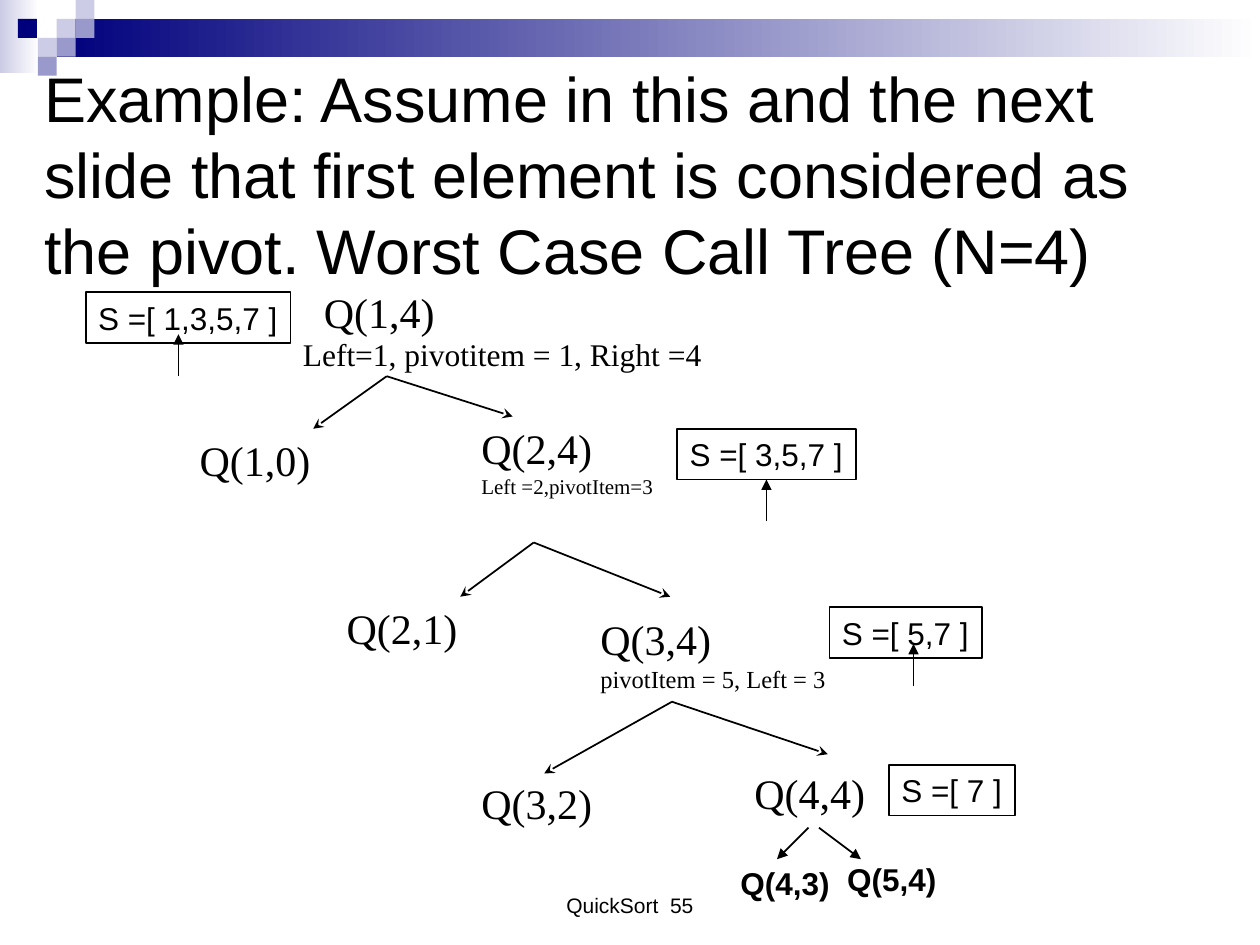
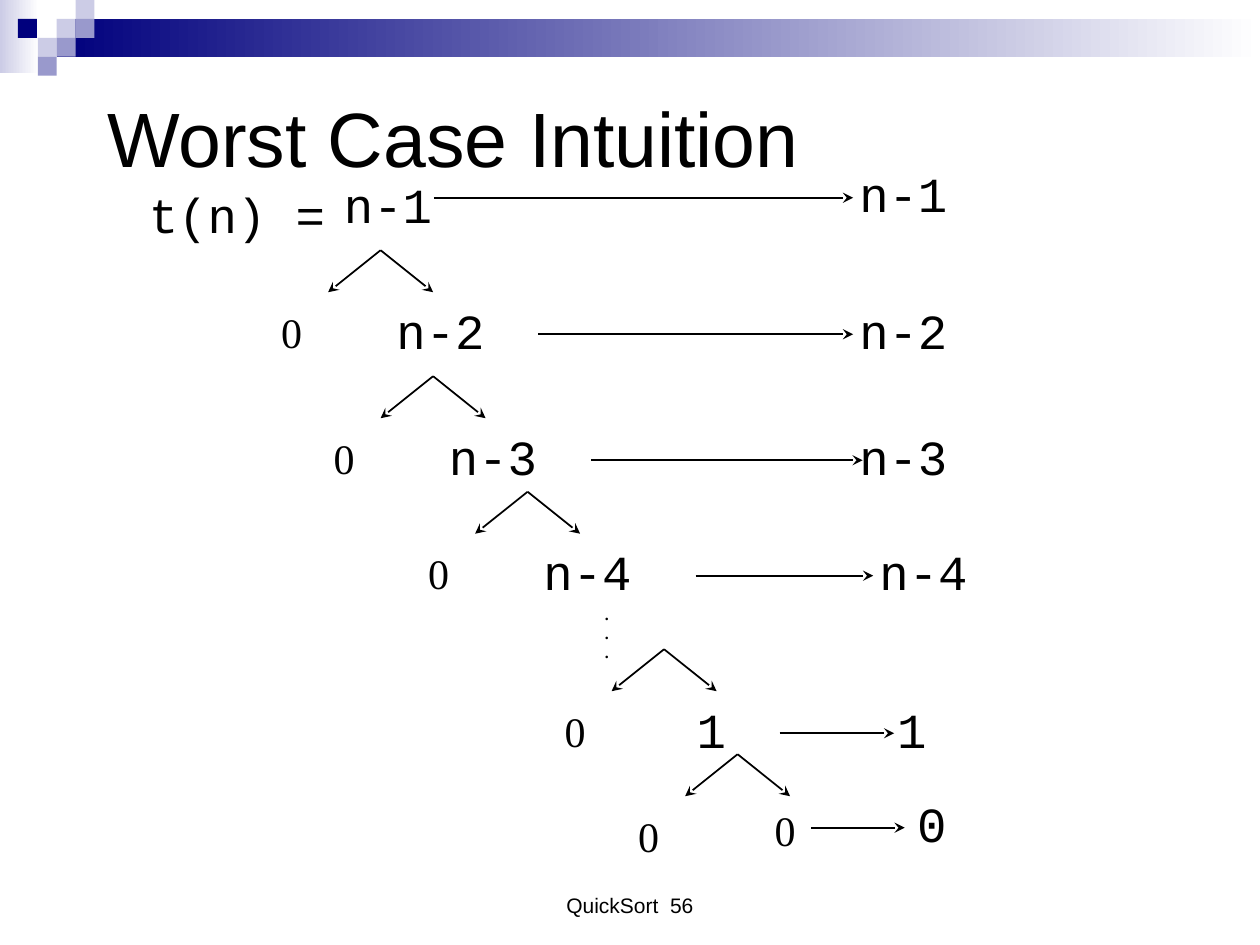
"""Build two quicksort slides: a worst-case call tree and the cost of each of its levels."""
from lxml.etree import SubElement
from pptx import Presentation
from pptx.dml.color import RGBColor
from pptx.enum.shapes import MSO_CONNECTOR, MSO_SHAPE
from pptx.enum.text import MSO_ANCHOR, MSO_AUTO_SIZE, PP_ALIGN
from pptx.oxml.ns import qn
from pptx.util import Pt

BLACK = RGBColor(0x00, 0x00, 0x00)
WHITE = RGBColor(0xFF, 0xFF, 0xFF)
NAVY = RGBColor(0x00, 0x00, 0x7D)
LILAC = RGBColor(0xCC, 0xCC, 0xE6)
VIOLET = RGBColor(0x99, 0x99, 0xCC)
SANS, SERIF, MONO = "Arial", "Times New Roman", "Courier New"

TILE = 10.8
BANDS = [(0, 0, 22.3, 41.8, LILAC), (32.4, 10.8, 687.6, 21.6, NAVY)]
TILES = [(3, 1, LILAC), (4, 0, LILAC), (4, 1, VIOLET), (2, 2, LILAC),
         (0.95, 1, NAVY), (3, 2, VIOLET), (2, 3, VIOLET)]

TREE_TITLE = ("Example: Assume in this and the next slide that first element "
              "is considered as the pivot. Worst Case Call Tree (N=4)")
# left, top, width, lines as (text, size)
CALLS = [
    (178, 160, 78, [("Q(1,4)", 24)]),
    (166, 188, 243, [("Left=1, pivotitem = 1, Right =4", 18)]),
    (107, 245, 78, [("Q(1,0)", 24)]),
    (268, 238, 113, [("Q(2,4)", 24), ("Left =2,pivotItem=3", 12)]),
    (191, 341, 78, [("Q(2,1)", 24)]),
    (336, 347, 162, [("Q(3,4)", 24), ("pivotItem = 5, Left = 3", 14)]),
    (268, 441, 78, [("Q(3,2)", 24)]),
    (424, 435, 78, [("Q(4,4)", 24)]),
]
LEAVES = [(416, 490, "Q(4,3)"), (477, 488, "Q(5,4)")]
FORKS = [
    ((221, 215), (179, 245), (293, 238)),
    ((305, 310), (263, 341), (383, 341)),
    ((384, 401), (311, 442), (473, 431)),
]
LEAF_ARROWS = [((462, 473), (444, 491)), ((468, 473), (492, 491))]
# left, top, width, text, pivot pointer tip
ARRAYS = [
    (49, 167, 117, "S =[ 1,3,5,7 ]", (102, 191)),
    (387, 245, 102, "S =[ 3,5,7 ]", (438, 274)),
    (474, 347, 87, "S =[ 5,7 ]", (522, 368)),
    (508, 437, 72, "S =[ 7 ]", None),
]
ARRAY_H, POINTER_H = 29, 24

COST_TITLE = "Worst Case Intuition"
# label, node left and top, fork apex x, cost arrow from and to, cost left and top
LEVELS = [
    ("n-1", 189.5, 96, None, 248, 487.5, 484, 90),
    ("n-2", 219.5, 168, 217.5, 307.5, 487.5, 484, 168),
    ("n-3", 249.5, 240, 247.5, 338, 493, 484, 240),
    ("n-4", 303.5, 306, 301.5, 397.5, 499, 495.5, 306),
    ("1", 391, 396, 379.5, 445.5, 511, 505.5, 396),
    ("0", 435.5, 456, 421.5, 463.5, 517, 517, 450),
]


def write(sp, lines, font, bold=False, wrap=False):
    """Fill a shape with one paragraph for each (text, size) line."""
    tf = sp.text_frame
    tf.word_wrap = wrap
    tf.auto_size = MSO_AUTO_SIZE.SHAPE_TO_FIT_TEXT
    for i, (text, size) in enumerate(lines):
        p = tf.add_paragraph() if i else tf.paragraphs[0]
        p.text = text
        p.alignment = PP_ALIGN.LEFT
        for r in p.runs:
            r.font.name, r.font.size, r.font.bold = font, Pt(size), bold
            r.font.color.rgb = BLACK
    return tf


def label(s, x, y, w, lines, font, bold=False, wrap=False):
    """Add a text box whose height follows from its line sizes."""
    h = 7.2 + sum(size * 1.17 for _, size in lines)
    sp = s.shapes.add_textbox(Pt(x), Pt(y), Pt(w), Pt(h))
    return write(sp, lines, font, bold, wrap)


def code(s, x, y, text):
    """Add a monospaced label just as wide as its text."""
    label(s, x, y, 14.4 + 16.8 * len(text), [(text, 28)], MONO)


def zero(s, x, y):
    """Add the label of an empty call."""
    label(s, x, y, 26.5, [("0", 24)], SERIF)


def arrow(s, start, end, head="stealth"):
    """Add a thin black arrow pointing at its end."""
    c = s.shapes.add_connector(MSO_CONNECTOR.STRAIGHT, *map(Pt, start + end))
    c.line.color.rgb = BLACK
    c.line.width = Pt(1)
    SubElement(c.element.spPr.find(qn("a:ln")), qn("a:tailEnd"), type=head)
    SubElement(c.element.spPr, qn("a:effectLst"))
    return c


def box(s, x, y, w, h):
    """Add a rectangle without a shadow."""
    sp = s.shapes.add_shape(MSO_SHAPE.RECTANGLE, Pt(x), Pt(y), Pt(w), Pt(h))
    sp.shadow.inherit = False
    return sp


def decorate(layout, s):
    """Draw the bands and tiles and hand them to the layout."""
    parts = []
    for x, y, w, h, color in BANDS:
        sp = box(s, x, y, w, h)
        sp.fill.gradient()
        sp.fill.gradient_angle = 0
        for stop, position, rgb in zip(sp.fill.gradient_stops, (0, 1), (color, WHITE)):
            stop.position, stop.color.rgb = position, rgb
        parts.append(sp)
    for col, row, color in TILES:
        sp = box(s, col * TILE, row * TILE, TILE, TILE)
        sp.fill.solid()
        sp.fill.fore_color.rgb = color
        parts.append(sp)
    for sp in parts:
        sp.line.fill.background()
        layout.shapes.element.append(sp.element)


def add_slide(prs, title, size, place, number):
    """Add a title-only slide with its title and footer."""
    s = prs.slides.add_slide(prs.slide_layouts[5])
    sp = s.shapes.title
    sp.left, sp.top, sp.width, sp.height = map(Pt, place)
    tf = write(sp, [(title, size)], SANS, wrap=True)
    tf.auto_size = MSO_AUTO_SIZE.NONE
    tf.vertical_anchor = MSO_ANCHOR.MIDDLE
    footer = s.shapes.add_textbox(Pt(246), Pt(492), Pt(228), Pt(36))
    tf = write(footer, [(f"QuickSort  {number}", 12)], SANS, wrap=True)
    tf.auto_size = MSO_AUTO_SIZE.NONE
    tf.vertical_anchor = MSO_ANCHOR.BOTTOM
    tf.paragraphs[0].alignment = PP_ALIGN.CENTER
    return s


def call_tree(s):
    """Draw the recursive calls and the array left at each level."""
    for x, y, w, lines in CALLS:
        label(s, x, y, w, lines, SERIF)
    for x, y, text in LEAVES:
        label(s, x, y, 65.5, [(text, 18)], SANS, bold=True)
    for apex, *ends in FORKS:
        for end in ends:
            arrow(s, apex, end)
    for start, end in LEAF_ARROWS:
        arrow(s, start, end, "triangle")
    for x, y, w, text, tip in ARRAYS:
        sp = box(s, x, y, w, ARRAY_H)
        sp.fill.background()
        sp.line.color.rgb = BLACK
        sp.line.width = Pt(1)
        write(sp, [(text, 18)], SANS)
        if tip:
            c = arrow(s, (tip[0], tip[1] + POINTER_H), tip, "triangle")
            if tip == (x + w / 2, y + ARRAY_H):
                c.end_connect(sp, 2)


def cost_tree(s):
    """Draw the unbalanced tree with the cost of each level beside it."""
    label(s, 78, 102, 115, [("t(n) =", 28)], MONO, wrap=True)
    label(s, 338.5, 342, 16.5, [(".", 9)] * 3, SERIF, bold=True)
    for text, x, y, apex, start, end, cost_x, cost_y in LEVELS:
        if text == "0":
            zero(s, x, y)
        else:
            code(s, x, y, text)
        if apex:
            zero(s, apex - 64, y + 3.5)
            for dx in (-30, 30):
                arrow(s, (apex, y - 25), (apex + dx, y - 1))
        arrow(s, (start, cost_y + 23), (end, cost_y + 23))
        code(s, cost_x, cost_y, text)


def main():
    """Build and save the deck."""
    prs = Presentation()
    prs.slide_width, prs.slide_height = Pt(720), Pt(540)
    s = add_slide(prs, TREE_TITLE, 36, (18, 72, 678, 54), 55)
    decorate(prs.slide_layouts[5], s)
    call_tree(s)
    cost_tree(add_slide(prs, COST_TITLE, 44, (54, 48, 612, 60), 56))
    prs.save("out.pptx")


if __name__ == "__main__":
    main()
